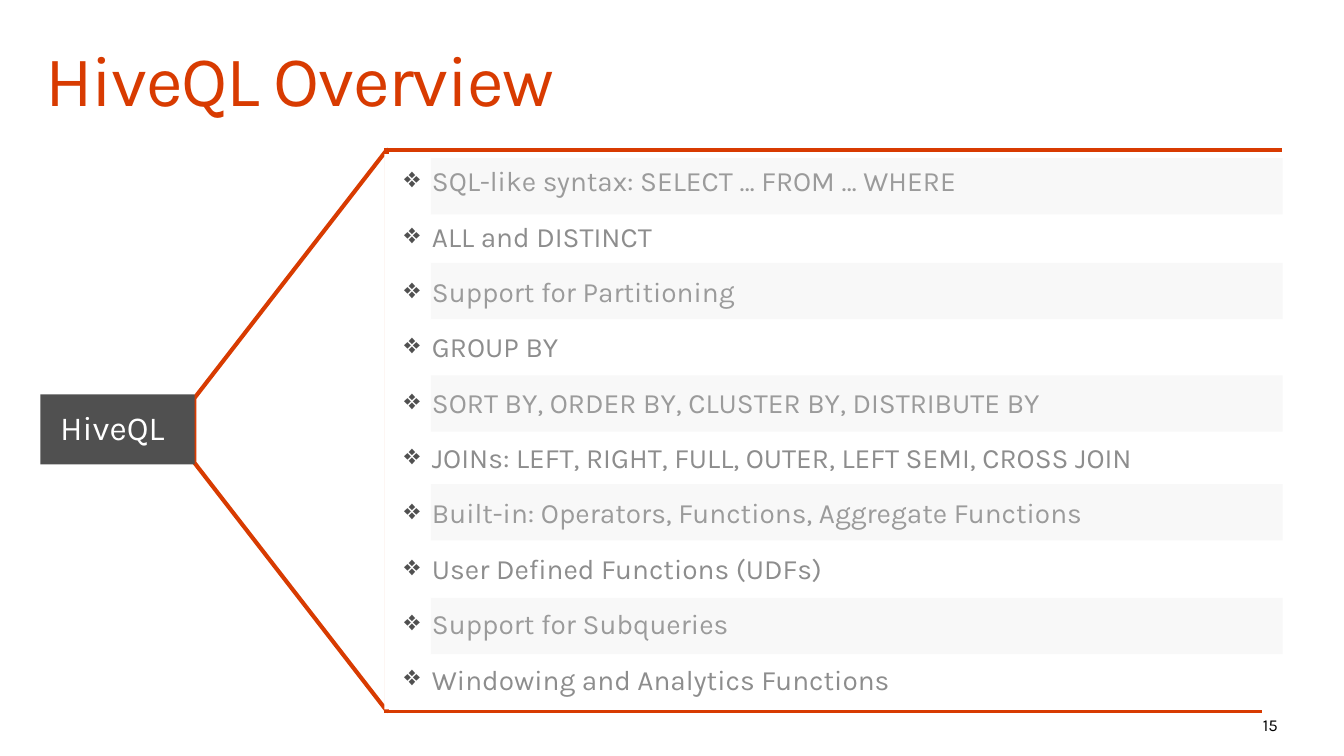
from lxml import etree
from pptx import Presentation
from pptx.dml.color import RGBColor
from pptx.enum.shapes import MSO_CONNECTOR, MSO_SHAPE
from pptx.enum.text import MSO_ANCHOR, PP_ALIGN
from pptx.oxml.ns import qn
from pptx.util import Pt

RECTANGLE = MSO_SHAPE.RECTANGLE
TRAPEZOID = MSO_SHAPE.TRAPEZOID
STRAIGHT = MSO_CONNECTOR.STRAIGHT
TOP = MSO_ANCHOR.TOP
MIDDLE = MSO_ANCHOR.MIDDLE
LEFT = PP_ALIGN.LEFT

FONT = "Karla"
COLORS = {
    "accent": "D83B01",
    "label": "505050",
    "feature": "8D8D8D",
    "band": "DCDCDC",
    "white": "FFFFFF",
    "black": "000000",
}
FEATURES = [
    "SQL-like syntax: SELECT … FROM … WHERE",
    "ALL and DISTINCT",
    "Support for Partitioning",
    "GROUP BY",
    "SORT BY, ORDER BY, CLUSTER BY, DISTRIBUTE BY",
    "JOINs: LEFT, RIGHT, FULL, OUTER, LEFT SEMI, CROSS JOIN",
    "Built-in: Operators, Functions, Aggregate Functions",
    "User Defined Functions (UDFs)",
    "Support for Subqueries",
    "Windowing and Analytics Functions",
]
BAND_TOPS = [115.2, 191.5, 273.6, 352.8, 435.6]
PANEL_LEFT = 280.1


def rgb(name):
    return RGBColor.from_string(COLORS[name])


def add_block(slide, kind, box, fill=None):
    block = slide.shapes.add_shape(kind, *map(Pt, box))
    block.shadow.inherit = False
    block.line.fill.background()
    if fill:
        block.fill.solid()
        block.fill.fore_color.rgb = rgb(fill)
    else:
        block.fill.background()
    return block


def set_frame(frame, anchor, inset_x, inset_y):
    frame.word_wrap = True
    frame.vertical_anchor = anchor
    frame.margin_left = frame.margin_right = Pt(inset_x)
    frame.margin_top = frame.margin_bottom = Pt(inset_y)


def write(paragraph, text, size, color, line_spacing=0.9, before=0, after=0):
    paragraph.text = text
    paragraph.alignment = LEFT
    paragraph.line_spacing = line_spacing
    paragraph.space_before = Pt(before)
    paragraph.space_after = Pt(after)
    paragraph.font.name = FONT
    paragraph.font.size = Pt(size)
    paragraph.font.color.rgb = rgb(color)


def add_bullet(paragraph):
    properties = paragraph._p.get_or_add_pPr()
    properties.set("marL", str(Pt(20.2)))
    properties.set("indent", str(Pt(-27.4)))
    bullet_color = etree.Element(qn("a:buClr"))
    etree.SubElement(bullet_color, qn("a:srgbClr"), val=COLORS["label"])
    bullet = etree.Element(qn("a:buChar"), char="❖")
    defaults = properties.find(qn("a:defRPr"))
    defaults.addprevious(bullet_color)
    defaults.addprevious(bullet)


def add_title(slide):
    title = slide.shapes.add_textbox(Pt(21.6), Pt(23), Pt(936), Pt(75))
    set_frame(title.text_frame, MIDDLE, 11.5, 7.2)
    paragraph = title.text_frame.paragraphs[0]
    write(paragraph, "HiveQL Overview", 52, "accent")
    paragraph.runs[0].font._element.set("spc", "-100")


def add_page_number(slide):
    number = slide.shapes.add_textbox(Pt(913), Pt(517), Pt(44.6), Pt(10.8))
    set_frame(number.text_frame, TOP, 7.2, 3.6)
    write(number.text_frame.paragraphs[0], "15", 12.2, "black", 1)


def add_funnel(slide):
    funnel = add_block(slide, TRAPEZOID, (7.2, 243.4, 409, 140.4))
    funnel.rotation = 270
    funnel.adjustments[0] = 1.29
    funnel.line.color.rgb = rgb("accent")
    funnel.line.width = Pt(3)


def add_label(slide):
    label = add_block(slide, RECTANGLE, (29.5, 287.3, 112.3, 51.1), "label")
    set_frame(label.text_frame, MIDDLE, 14.4, 11.5)
    write(label.text_frame.paragraphs[0], "HiveQL", 24.5, "white", after=6.1)


def add_feature_panel(slide):
    panel = add_block(slide, RECTANGLE, (PANEL_LEFT, 112.3, 602, 404.6), "white")
    frame = panel.text_frame
    set_frame(frame, MIDDLE, 14.4, 11.5)
    for index, feature in enumerate(FEATURES):
        paragraph = frame.add_paragraph() if index else frame.paragraphs[0]
        write(paragraph, feature, 20.4, "feature", before=6.1, after=12.2)
        add_bullet(paragraph)


def add_rule(slide, right, y, width):
    rule = slide.shapes.add_connector(
        STRAIGHT, Pt(PANEL_LEFT), Pt(y), Pt(right), Pt(y))
    rule.line.color.rgb = rgb("accent")
    rule.line.width = Pt(width)
    etree.SubElement(rule._element.spPr, qn("a:effectLst"))


def add_band(slide, top):
    band = add_block(slide, RECTANGLE, (313.9, top, 620.6, 41), "band")
    tint = band._element.spPr.find(qn("a:solidFill")).find(qn("a:srgbClr"))
    etree.SubElement(tint, qn("a:alpha"), val="18000")


def main():
    presentation = Presentation()
    presentation.slide_width = Pt(979.2)
    presentation.slide_height = Pt(550.8)
    slide = presentation.slides.add_slide(presentation.slide_layouts[6])
    add_title(slide)
    add_page_number(slide)
    add_funnel(slide)
    add_label(slide)
    add_feature_panel(slide)
    add_rule(slide, 933.8, 109.4, 3)
    add_rule(slide, 919.4, 518.4, 2.25)
    for top in BAND_TOPS:
        add_band(slide, top)
    presentation.save("out.pptx")


if __name__ == "__main__":
    main()
